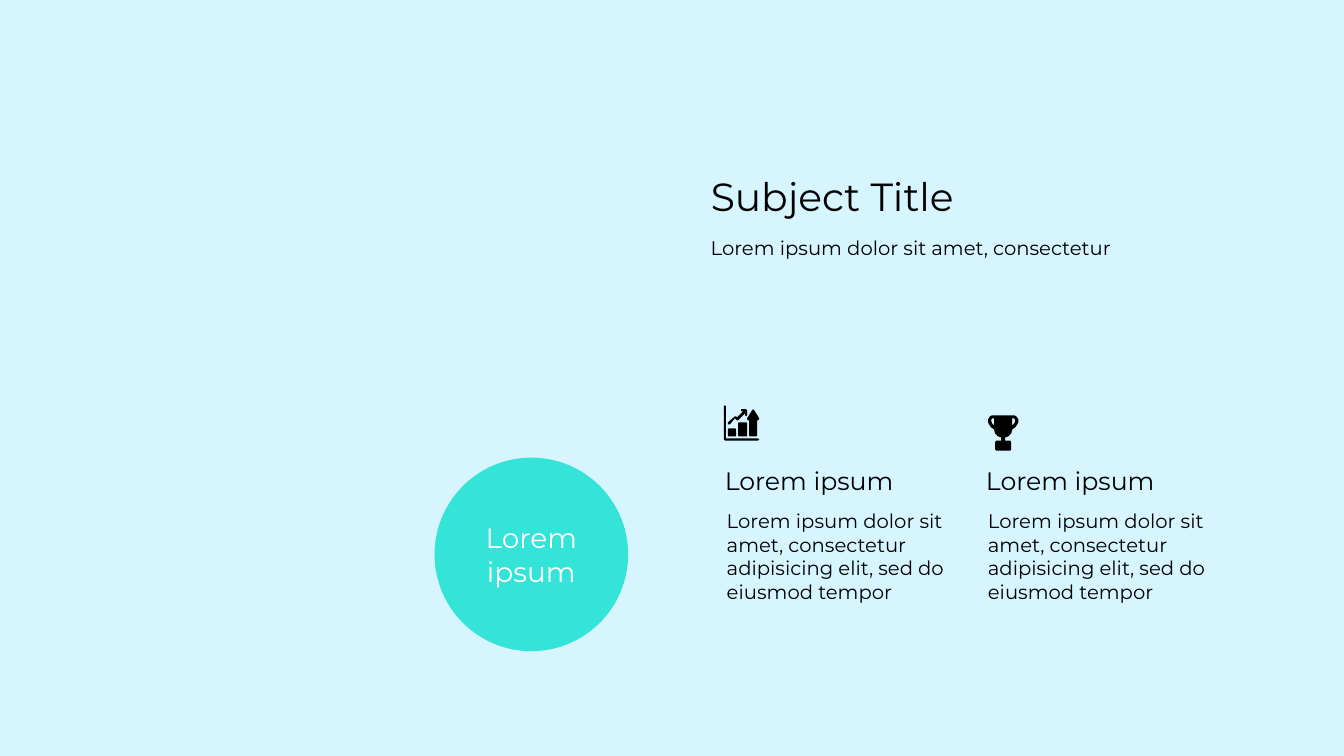
from dataclasses import dataclass

from pptx import Presentation
from pptx import util as u
from pptx.dml.color import RGBColor
from pptx.enum import shapes, text

COLORS = {"sky": "D6F5FF", "ink": "000000", "turquoise": "34E4D9", "white": "FFFFFF"}
FONT = "Montserrat"
BLURB = "Lorem ipsum dolor sit amet, consectetur adipisicing elit, sed do eiusmod tempor"

Outline = list[tuple[float, float]]


@dataclass
class Label:
    words: str
    left: float
    top: float
    width: float
    height: float
    size: int


@dataclass
class Bar:
    left: float
    top: float
    width: float
    height: float


TITLE = Label("Subject Title", 6.95, 1.66, 5.2, 0.57, 28)
SUBTITLE = Label("Lorem ipsum dolor sit amet, consectetur", 6.95, 2.29, 4.4, 0.34, 14)
COLUMN_LEFTS = (7.09, 9.68)

CHART_BARS = [Bar(7.22, 4.25, 0.08, 0.08), Bar(7.32, 4.19, 0.09, 0.14)]
TREND_ARROW: Outline = [
    (7.24, 4.21), (7.29, 4.15), (7.31, 4.17), (7.32, 4.17), (7.39, 4.1), (7.39, 4.12),
    (7.4, 4.13), (7.41, 4.12), (7.41, 4.07), (7.4, 4.06), (7.35, 4.06), (7.35, 4.08),
    (7.37, 4.08), (7.31, 4.14), (7.3, 4.13), (7.29, 4.13), (7.22, 4.19), (7.22, 4.21),
]
GROWTH_ARROW: Outline = [
    (7.42, 4.17), (7.43, 4.17), (7.43, 4.32), (7.44, 4.33), (7.5, 4.33), (7.51, 4.32),
    (7.51, 4.17), (7.52, 4.17), (7.53, 4.16), (7.53, 4.15), (7.48, 4.07), (7.47, 4.06),
    (7.46, 4.07), (7.41, 4.15), (7.41, 4.16),
]
AXES: Outline = [
    (7.52, 4.35), (7.2, 4.35), (7.2, 4.03), (7.19, 4.02), (7.18, 4.03), (7.18, 4.36),
    (7.19, 4.37), (7.52, 4.37), (7.53, 4.36),
]
TROPHY_MIDDLE = 9.95
TROPHY_HALF: Outline = [
    (9.95, 4.12), (9.84, 4.12), (9.82, 4.13), (9.8, 4.16), (9.8, 4.19), (9.81, 4.21),
    (9.83, 4.24), (9.86, 4.26), (9.87, 4.3), (9.9, 4.33), (9.93, 4.34), (9.93, 4.37),
    (9.88, 4.37), (9.87, 4.39), (9.87, 4.46), (9.88, 4.47), (9.95, 4.47),
]
HANDLE_HOLE: Outline = [
    (9.83, 4.17), (9.84, 4.15), (9.86, 4.15), (9.86, 4.22), (9.84, 4.2),
]


def color(name: str) -> RGBColor:
    return RGBColor.from_string(COLORS[name])


def mirrored(outline: Outline) -> Outline:
    """Flip an outline across the trophy's middle, in reverse order."""
    return [(2 * TROPHY_MIDDLE - x, y) for x, y in reversed(outline)]


def paint(shape, fill: str) -> None:
    shape.shadow.inherit = False
    shape.fill.solid()
    shape.fill.fore_color.rgb = color(fill)
    shape.line.fill.background()


def write(frame, words: str, size: int, ink: str = "ink",
          align=text.PP_ALIGN.LEFT, anchor=text.MSO_ANCHOR.TOP) -> None:
    frame.word_wrap = True
    frame.auto_size = text.MSO_AUTO_SIZE.NONE
    frame.vertical_anchor = anchor
    para = frame.paragraphs[0]
    para.alignment = align
    span = para.add_run()
    span.text = words
    span.font.name = FONT
    span.font.size = u.Pt(size)
    span.font.color.rgb = color(ink)


def add_label(page, label: Label) -> None:
    box = page.shapes.add_textbox(u.Inches(label.left), u.Inches(label.top),
                                  u.Inches(label.width), u.Inches(label.height))
    write(box.text_frame, label.words, label.size)


def add_title(page, label: Label) -> None:
    title = page.shapes.title
    title.left, title.top = u.Inches(label.left), u.Inches(label.top)
    title.width, title.height = u.Inches(label.width), u.Inches(label.height)
    write(title.text_frame, label.words, label.size)


def add_outline(holder, *outlines: Outline) -> None:
    """Draw closed outlines as one shape; inner outlines become holes."""
    contours = [[(u.Inches(x), u.Inches(y)) for x, y in outline] for outline in outlines]
    builder = holder.build_freeform(*contours[0][0], scale=1.0)
    builder.add_line_segments(contours[0][1:], close=True)
    for contour in contours[1:]:
        builder.move_to(*contour[0])
        builder.add_line_segments(contour[1:], close=True)
    paint(builder.convert_to_shape(), "ink")


def add_chart_icon(page) -> None:
    icon = page.shapes.add_group_shape()
    for outline in (TREND_ARROW, GROWTH_ARROW, AXES):
        add_outline(icon.shapes, outline)
    for bar in CHART_BARS:
        column = icon.shapes.add_shape(
            shapes.MSO_SHAPE.ROUNDED_RECTANGLE, u.Inches(bar.left), u.Inches(bar.top),
            u.Inches(bar.width), u.Inches(bar.height))
        column.adjustments[0] = 0.12
        paint(column, "ink")


def add_trophy_icon(page) -> None:
    add_outline(page.shapes, TROPHY_HALF + mirrored(TROPHY_HALF)[1:-1],
                HANDLE_HOLE, mirrored(HANDLE_HOLE))


def add_circle(page) -> None:
    circle = page.shapes.add_shape(shapes.MSO_SHAPE.OVAL, u.Inches(4.31), u.Inches(4.54),
                                   u.Inches(1.92), u.Inches(1.92))
    paint(circle, "turquoise")
    write(circle.text_frame, "Lorem ipsum", 20, "white",
          text.PP_ALIGN.CENTER, text.MSO_ANCHOR.MIDDLE)


def main() -> None:
    deck = Presentation()
    deck.slide_width, deck.slide_height = u.Inches(13.33), u.Inches(7.5)
    page = deck.slides.add_slide(deck.slide_layouts.get_by_name("Title Only"))
    page.background.fill.solid()
    page.background.fill.fore_color.rgb = color("sky")

    add_title(page, TITLE)
    add_label(page, SUBTITLE)
    for left in COLUMN_LEFTS:
        add_label(page, Label("Lorem ipsum", left, 4.57, 2.61, 0.4, 18))
        add_label(page, Label(BLURB, left + 0.02, 5, 2.6, 1.04, 14))
    add_chart_icon(page)
    add_trophy_icon(page)
    add_circle(page)

    deck.save("out.pptx")


if __name__ == "__main__":
    main()
